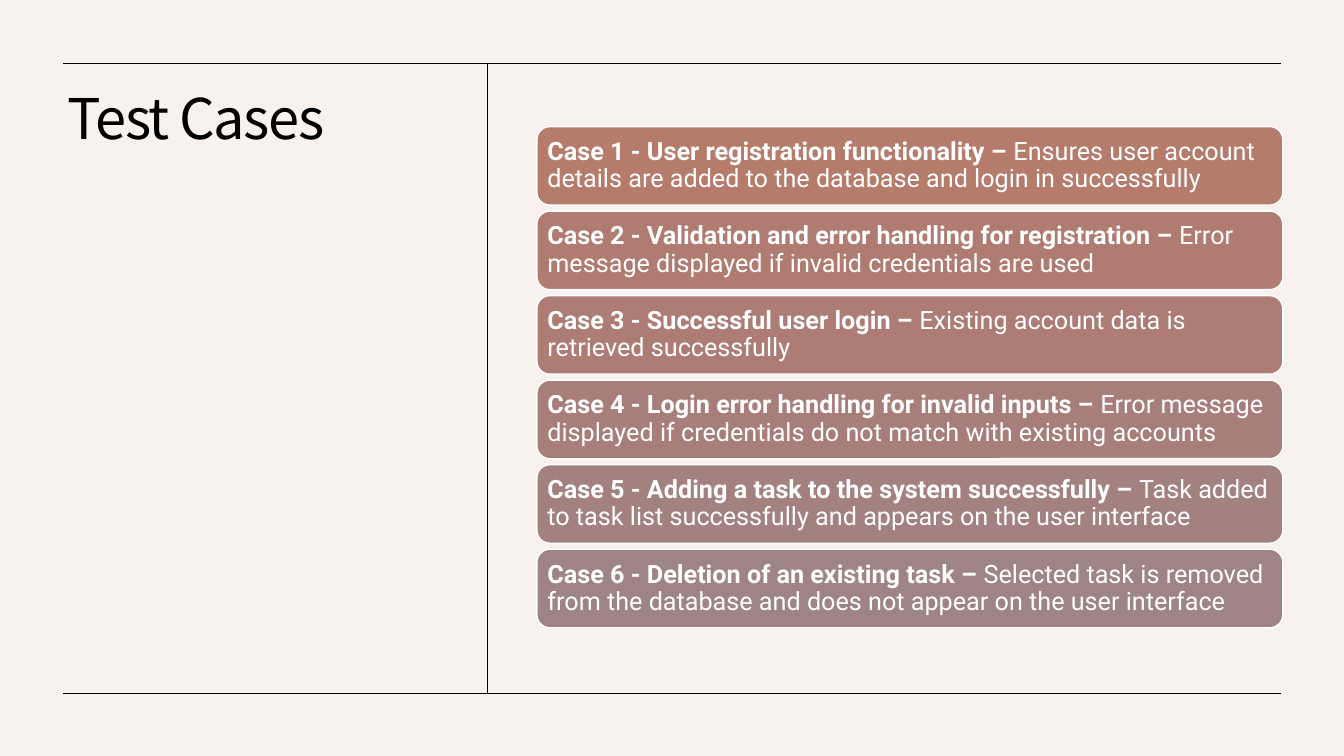
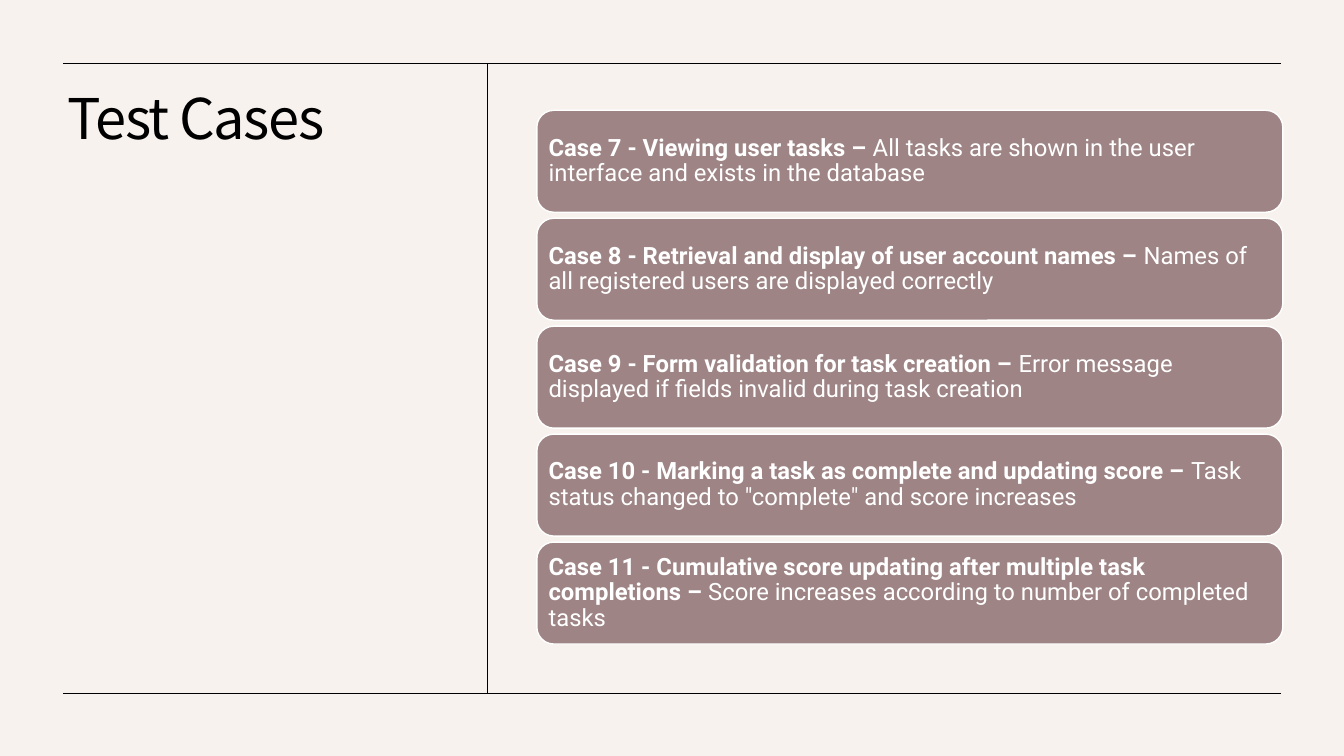
from dataclasses import dataclass

import pptx
import pptx.dml.color
import pptx.enum.shapes
import pptx.enum.text
import pptx.oxml.ns
import pptx.presentation
import pptx.shapes.autoshape
import pptx.slide
import pptx.text.text
import pptx.util
from lxml import etree

Cm = pptx.util.Cm
Pt = pptx.util.Pt

# Shared look
PAPER, INK, WHITE, MAUVE = "F7F2EE", "000000", "FFFFFF", "9E8484"
TITLE_FONT, BODY_FONT = "Noto Sans CJK KR", "Roboto"
LINE_SPACING = 0.9

# Shared geometry, in centimetres
FRAME_LEFT, FRAME_RIGHT = 1.6, 32.28
FRAME_TOP, FRAME_BOTTOM = 1.59, 17.47
DIVIDER = 12.27
CARD_LEFT, CARD_WIDTH, CARD_GAP = 13.53, 18.8, 0.15
# The rounded corners add a little to this inset
CARD_INSET = 0.17


@dataclass(frozen=True)
class Case:
    heading: str
    detail: str
    fill: str = MAUVE


@dataclass(frozen=True)
class CasePage:
    title: str
    top: float
    card_height: float
    text_size: float
    cases: tuple[Case, ...]


PAGES = (
    CasePage("Test Cases", 3.19, 1.98, 18, (
        Case("Case 1 - User registration functionality – ",
             "Ensures user account details are added to the database and login in successfully",
             "B57B6B"),
        Case("Case 2 - Validation and error handling for registration – ",
             "Error message displayed if invalid credentials are used", "B07B70"),
        Case("Case 3 - Successful user login – ",
             "Existing account data is retrieved successfully", "AC7C75"),
        Case("Case 4 - Login error handling for invalid inputs – ",
             "Error message displayed if credentials do not match with existing accounts",
             "A77E7A"),
        Case("Case 5 - Adding a task to the system successfully – ",
             "Task added to task list successfully and appears on the user interface",
             "A3817F"),
        Case("Case 6 - Deletion of an existing task – ",
             "Selected task is removed from the database and does not appear on the user interface"),
    )),
    CasePage("Test Cases", 2.78, 2.57, 17, (
        Case("Case 7 - Viewing user tasks – ",
             "All tasks are shown in the user interface and exists in the database"),
        Case("Case 8 - Retrieval and display of user account names – ",
             "Names of all registered users are displayed correctly"),
        Case("Case 9 - Form validation for task creation – ",
             "Error message displayed if fields invalid during task creation"),
        Case("Case 10 - Marking a task as complete and updating score – ",
             'Task status changed to "complete" and score increases'),
        Case("Case 11 - Cumulative score updating after multiple task completions – ",
             "Score increases according to number of completed tasks"),
    )),
)


def colour(value: str) -> pptx.dml.color.RGBColor:
    return pptx.dml.color.RGBColor.from_string(value)


def add_span(para: pptx.text.text._Paragraph, text: str, font: str, size: float,
             ink: str, bold: bool = False) -> pptx.text.text._Run:
    span = para.add_run()
    span.text = text
    span.font.name = font
    span.font.size = Pt(size)
    span.font.bold = bold
    span.font.color.rgb = colour(ink)
    return span


def first_paragraph(frame: pptx.text.text.TextFrame,
                    anchor: pptx.enum.text.MSO_ANCHOR) -> pptx.text.text._Paragraph:
    frame.word_wrap = True
    frame.auto_size = pptx.enum.text.MSO_AUTO_SIZE.NONE
    frame.vertical_anchor = anchor
    para = frame.paragraphs[0]
    para.alignment = pptx.enum.text.PP_ALIGN.LEFT
    para.line_spacing = LINE_SPACING
    return para


def set_title(page: pptx.slide.Slide, text: str) -> None:
    box = page.shapes.title
    box.left, box.top, box.width, box.height = Cm(1.45), Cm(2.18), Cm(9.58), Cm(14.02)
    para = first_paragraph(box.text_frame, pptx.enum.text.MSO_ANCHOR.TOP)
    span = add_span(para, text, TITLE_FONT, 40, INK)
    # Letter spacing is given in hundredths of a point
    span.font._element.set("spc", "-100")


def add_rule(page: pptx.slide.Slide, x1: float, y1: float, x2: float, y2: float) -> None:
    rule = page.shapes.add_connector(
        pptx.enum.shapes.MSO_CONNECTOR.STRAIGHT, Cm(x1), Cm(y1), Cm(x2), Cm(y2))
    rule.line.color.rgb = colour(INK)
    rule.line.width = Pt(0.5)
    # An empty effect list removes the theme shadow
    etree.SubElement(rule._element.spPr, pptx.oxml.ns.qn("a:effectLst"))


def add_frame(page: pptx.slide.Slide) -> None:
    for y in (FRAME_TOP, FRAME_BOTTOM):
        add_rule(page, FRAME_LEFT, y, FRAME_RIGHT, y)
    add_rule(page, DIVIDER, FRAME_TOP, DIVIDER, FRAME_BOTTOM)


def add_card(page: pptx.slide.Slide, case: Case, top: float, height: float,
             text_size: float) -> None:
    card = page.shapes.add_shape(
        pptx.enum.shapes.MSO_SHAPE.ROUNDED_RECTANGLE,
        Cm(CARD_LEFT), Cm(top), Cm(CARD_WIDTH), Cm(height))
    card.shadow.inherit = False
    card.fill.solid()
    card.fill.fore_color.rgb = colour(case.fill)
    card.line.color.rgb = colour(WHITE)
    card.line.width = Pt(1)
    frame = card.text_frame
    frame.margin_left = frame.margin_right = Cm(CARD_INSET)
    frame.margin_top = frame.margin_bottom = Cm(CARD_INSET)
    para = first_paragraph(frame, pptx.enum.text.MSO_ANCHOR.MIDDLE)
    add_span(para, case.heading, BODY_FONT, text_size, WHITE, bold=True)
    add_span(para, case.detail, BODY_FONT, text_size, WHITE)


def add_case_page(deck: pptx.presentation.Presentation, content: CasePage) -> None:
    page = deck.slides.add_slide(deck.slide_layouts.get_by_name("Title Only"))
    set_title(page, content.title)
    add_frame(page)
    # Cards stacked with an equal gap
    for index, case in enumerate(content.cases):
        top = content.top + index * (content.card_height + CARD_GAP)
        add_card(page, case, top, content.card_height, content.text_size)


def main() -> None:
    deck = pptx.Presentation()
    deck.slide_width, deck.slide_height = Cm(33.87), Cm(19.05)
    background = deck.slide_master.background.fill
    background.solid()
    background.fore_color.rgb = colour(PAPER)
    for content in PAGES:
        add_case_page(deck, content)
    deck.save("out.pptx")


if __name__ == "__main__":
    main()
